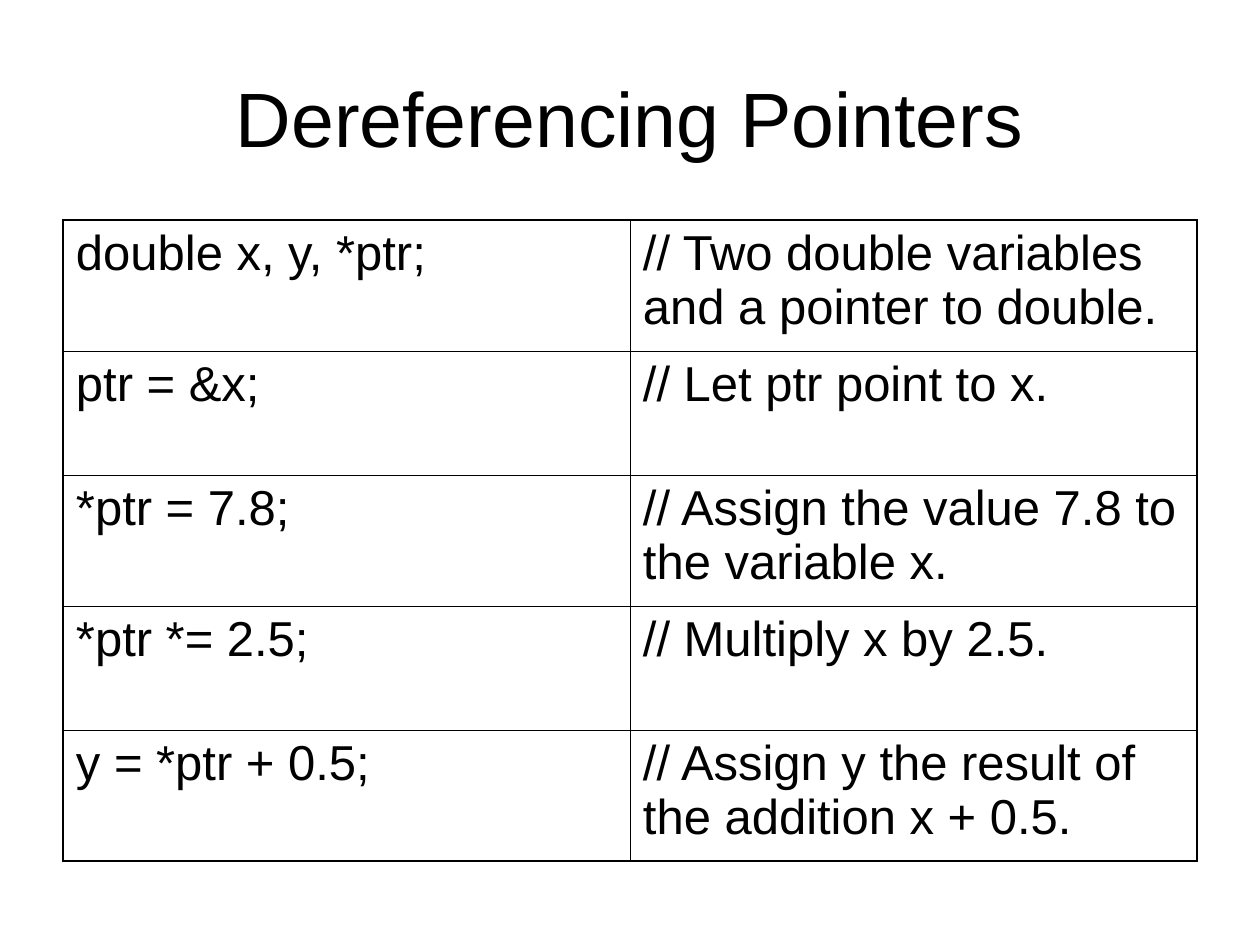
from lxml import etree
from pptx import Presentation
from pptx.dml.color import RGBColor
from pptx.enum.text import MSO_ANCHOR, PP_ALIGN
from pptx.oxml.ns import qn
from pptx.util import Pt

MIDDLE, TOP = MSO_ANCHOR.MIDDLE, MSO_ANCHOR.TOP
CENTER, LEFT = PP_ALIGN.CENTER, PP_ALIGN.LEFT

COLORS = {"text": "000000", "border": "000000", "background": "FFFFFF"}
FONT = "Arial"
PX_PER_INCH = 126
OUTER_LINE, INNER_LINE = 1.08, 0.45

STATEMENTS = [
    ("double x, y, *ptr;", "// Two double variables and a pointer to double."),
    ("ptr = &x;", "// Let ptr point to x."),
    ("*ptr = 7.8;", "// Assign the value 7.8 to the variable x."),
    ("*ptr *= 2.5;", "// Multiply x by 2.5."),
    ("y = *ptr + 0.5;", "// Assign y the result of the addition x + 0.5."),
]


def px(length):
    return round(length * 914400 / PX_PER_INCH)


def write_text(frame, text, size, align=LEFT):
    frame.word_wrap = True
    para = frame.paragraphs[0]
    para.alignment = align
    span = para.add_run()
    span.text = text
    span.font.name = FONT
    span.font.size = Pt(size)
    span.font.color.rgb = RGBColor.from_string(COLORS["text"])


def set_margins(target):
    target.margin_left = target.margin_right = px(13)
    target.margin_top = target.margin_bottom = px(6)


def set_borders(cell, **widths):
    properties = cell._tc.get_or_add_tcPr()
    for side in "LRTB":
        line = etree.SubElement(properties, qn(f"a:ln{side}"), w=str(Pt(widths[side])))
        fill = etree.SubElement(line, qn("a:solidFill"))
        etree.SubElement(fill, qn("a:srgbClr"), val=COLORS["border"])


def add_title(page, left, top, width, height, text):
    box = page.shapes.add_textbox(px(left), px(top), px(width), px(height))
    frame = box.text_frame
    set_margins(frame)
    frame.vertical_anchor = MIDDLE
    write_text(frame, text, size=44, align=CENTER)


def add_code_table(page, left, top, width, row_heights, rows):
    row_count, column_count = len(rows), len(rows[0])
    table = page.shapes.add_table(row_count, column_count, px(left), px(top),
                                  px(width), px(sum(row_heights))).table
    table.first_row = table.horz_banding = False
    for column in table.columns:
        column.width = px(width // column_count)

    def line_width(is_edge):
        return OUTER_LINE if is_edge else INNER_LINE

    for i, (texts, height) in enumerate(zip(rows, row_heights)):
        table.rows[i].height = px(height)
        for j, text in enumerate(texts):
            cell = table.cell(i, j)
            set_margins(cell)
            cell.vertical_anchor = TOP
            set_borders(cell, L=line_width(j == 0), R=line_width(j == column_count - 1),
                        T=line_width(i == 0), B=line_width(i == row_count - 1))
            cell.fill.background()
            write_text(cell.text_frame, text, size=28)


def main():
    deck = Presentation()
    deck.slide_width, deck.slide_height = px(1260), px(945)
    page = deck.slides.add_slide(deck.slide_layouts[6])
    page.background.fill.solid()
    page.background.fill.fore_color.rgb = RGBColor.from_string(COLORS["background"])

    # Title
    add_title(page, 63, 38, 1134, 157, "Dereferencing Pointers")

    # Statements with their comments; wrapped comments get the taller rows
    row_heights = [131 if len(comment) > 30 else 124 for _, comment in STATEMENTS]
    add_code_table(page, 63, 220, 1134, row_heights, STATEMENTS)

    deck.save("out.pptx")


if __name__ == "__main__":
    main()
